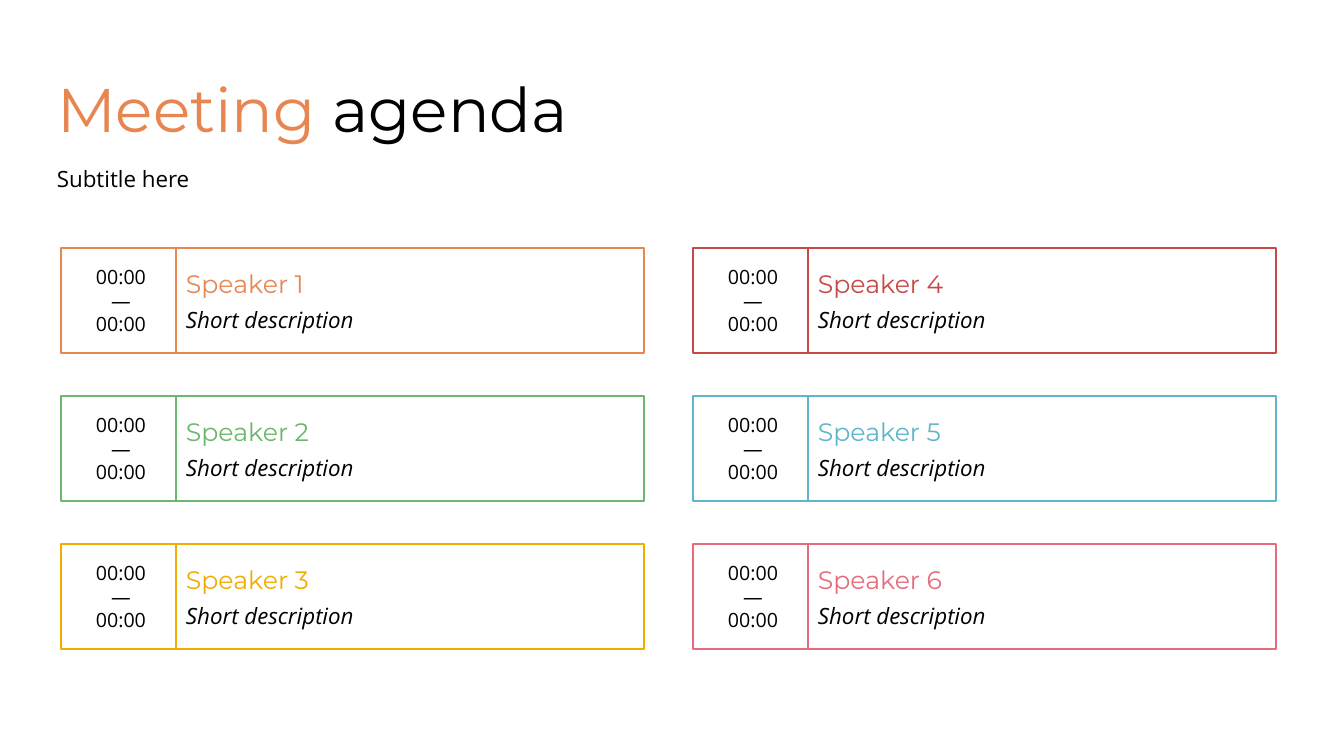
from pptx import Presentation, util as u
from pptx.dml import color
from pptx.enum import shapes, text

PX = 914400 / 100.8
BLACK = "000000"
ORANGE = "E88651"
HEADING_FONT = "Montserrat"
BODY_FONT = "Open Sans"
SPEAKER_COLORS = [ORANGE, "6BB76D", "F0AD00", "C64847", "60B5CC", "E66C7D"]
ROWS = 3
LEFT, TOP = 61, 248
COLUMN_STEP, ROW_STEP = 632, 148
DETAILS_OFFSET = 115
TIME_WIDTH, DETAILS_WIDTH, CARD_HEIGHT = 120, 468, 105


def px(*lengths):
    return [u.Emu(round(length * PX)) for length in lengths]


def rgb(hex_color):
    return color.RGBColor.from_string(hex_color)


def write(paragraph, content, size=16, font=BODY_FONT, hex_color=BLACK,
          italic=False, align=text.PP_ALIGN.LEFT, before=0, spacing=1.0):
    paragraph.alignment = align
    paragraph.space_before = u.Pt(before)
    paragraph.line_spacing = spacing
    run = paragraph.add_run()
    run.text = content
    run.font.size = u.Pt(size)
    run.font.name = font
    run.font.italic = italic
    run.font.color.rgb = rgb(hex_color)


def prepare_frame(frame):
    frame.word_wrap = True
    frame.vertical_anchor = text.MSO_ANCHOR.MIDDLE
    return frame.paragraphs[0]


def add_heading(slide):
    title = slide.shapes.title
    title.left, title.top, title.width, title.height = px(47, 40, 1159, 146)
    line = prepare_frame(title.text_frame)
    title.text_frame.auto_size = text.MSO_AUTO_SIZE.NONE
    for words, hex_color in (("Meeting ", ORANGE), ("agenda", BLACK)):
        write(line, words, size=44, font=HEADING_FONT, hex_color=hex_color, spacing=0.9)


def add_subtitle(slide):
    subtitle = slide.shapes.add_textbox(*px(47, 163, 614, 34))
    write(prepare_frame(subtitle.text_frame), "Subtitle here", before=10, spacing=0.9)


def add_panel(slide, left, top, width, hex_color):
    panel = slide.shapes.add_shape(shapes.MSO_SHAPE.ROUNDED_RECTANGLE,
                                   *px(left, top, width, CARD_HEIGHT))
    panel.adjustments[0] = 0
    panel.shadow.inherit = False
    panel.fill.solid()
    panel.fill.fore_color.rgb = rgb("FFFFFF")
    panel.line.color.rgb = rgb(hex_color)
    panel.line.width = u.Pt(1)
    prepare_frame(panel.text_frame)
    return panel.text_frame


def add_speaker(slide, index, hex_color):
    column, row = divmod(index, ROWS)
    left, top = LEFT + column * COLUMN_STEP, TOP + row * ROW_STEP

    times = add_panel(slide, left, top, TIME_WIDTH, hex_color)
    for position, content in enumerate(("00:00", "—", "00:00")):
        line = times.add_paragraph() if position else times.paragraphs[0]
        write(line, content, size=14, align=text.PP_ALIGN.CENTER)

    details = add_panel(slide, left + DETAILS_OFFSET, top, DETAILS_WIDTH, hex_color)
    write(details.paragraphs[0], f"Speaker {index + 1}", size=18,
          font=HEADING_FONT, hex_color=hex_color)
    write(details.add_paragraph(), "Short description", italic=True, before=5.7)


def main():
    deck = Presentation()
    deck.slide_width, deck.slide_height = px(1344, 756)
    slide = deck.slides.add_slide(deck.slide_layouts[5])
    add_heading(slide)
    add_subtitle(slide)
    for index, hex_color in enumerate(SPEAKER_COLORS):
        add_speaker(slide, index, hex_color)
    deck.save("out.pptx")


if __name__ == "__main__":
    main()
